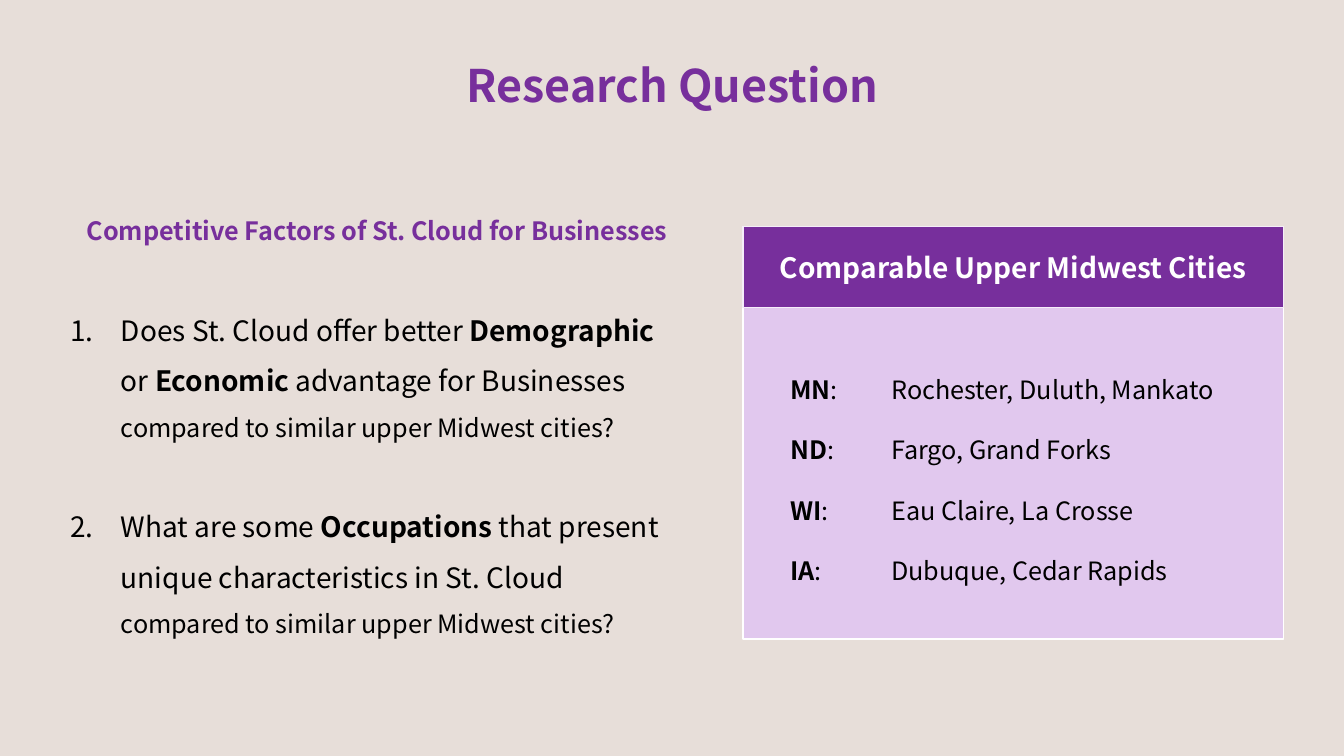
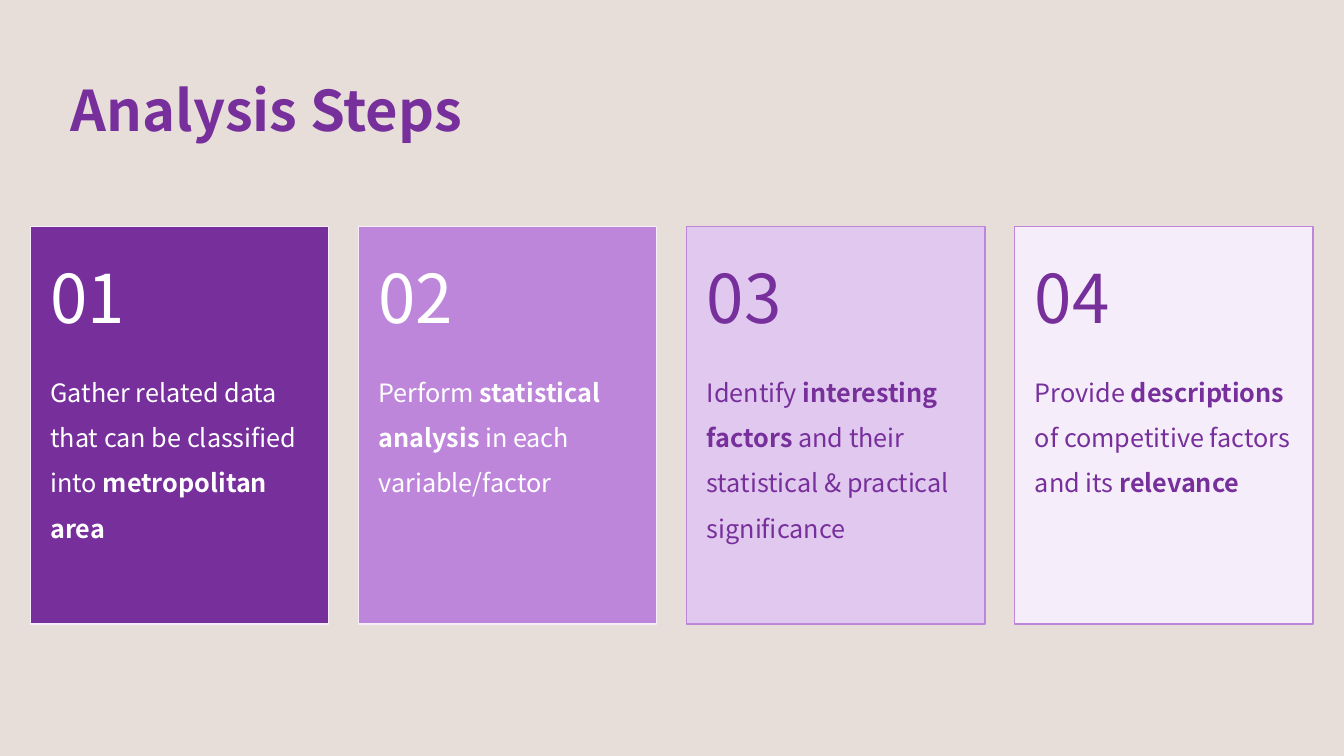
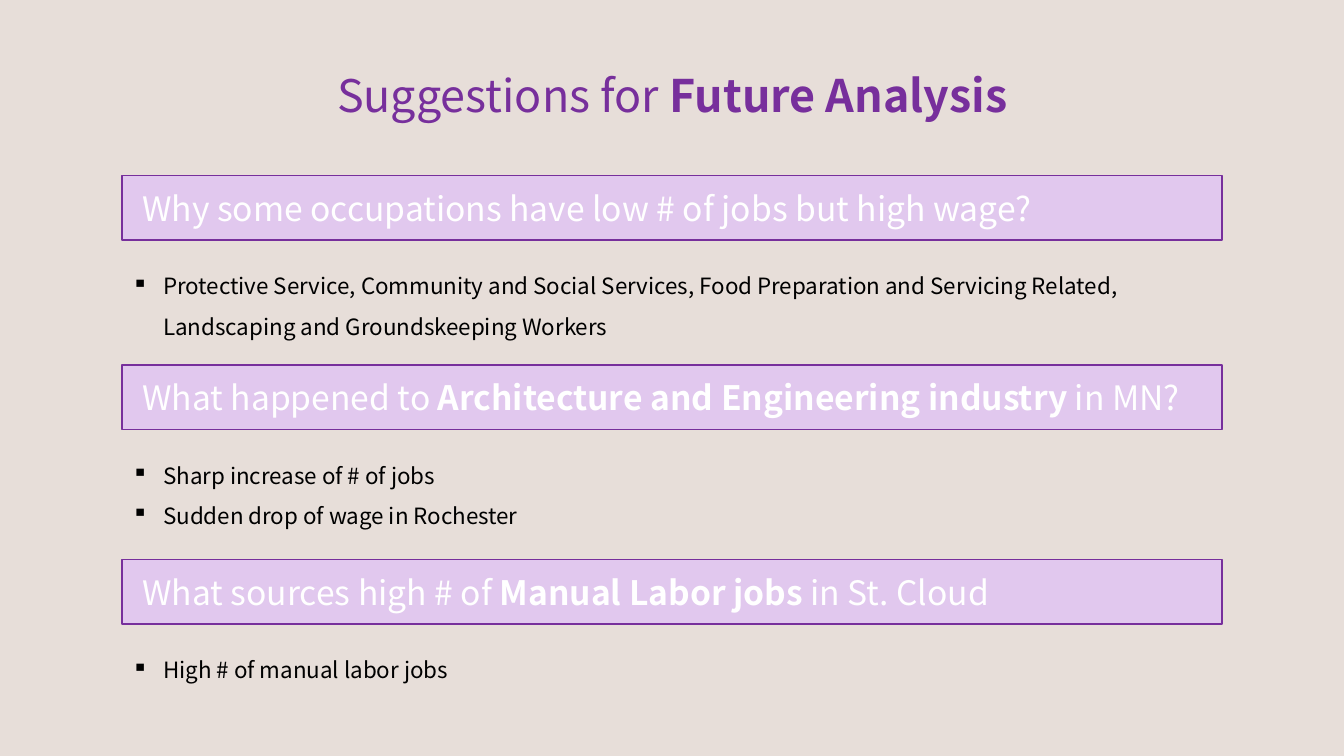
import pptx
import pptx.util
import pptx.dml.color
import pptx.enum.shapes
import pptx.enum.text
import pptx.oxml.ns
from lxml import etree

Inches, Pt = pptx.util.Inches, pptx.util.Pt
RGBColor = pptx.dml.color.RGBColor
ALIGN = pptx.enum.text.PP_ALIGN
ANCHOR = pptx.enum.text.MSO_ANCHOR

FONT = "Noto Sans CJK KR"
BEIGE = RGBColor(0xE7, 0xDE, 0xD9)
PURPLE = RGBColor(0x77, 0x2F, 0x9C)
ORCHID = RGBColor(0xBE, 0x86, 0xDA)
LILAC = RGBColor(0xE1, 0xC8, 0xEE)
PALE = RGBColor(0xF5, 0xED, 0xF9)
WHITE = RGBColor(0xFF, 0xFF, 0xFF)
BLACK = RGBColor(0, 0, 0)

# Words between ** marks are bold.
FACTORS_HEADING = "**Competitive Factors of St. Cloud for Businesses**"
QUESTIONS = [
    "Does St. Cloud offer better **Demographic** or **Economic** advantage for Businesses",
    "What are some **Occupations** that present unique characteristics in St. Cloud",
]
QUESTION_ENDING = "compared to similar upper Midwest cities?"
CITIES_HEADING = "**Comparable Upper Midwest Cities**"
CITIES = [
    ("MN", "Rochester, Duluth, Mankato"),
    ("ND", "Fargo, Grand Forks"),
    ("WI", "Eau Claire, La Crosse"),
    ("IA", "Dubuque, Cedar Rapids"),
]
STEPS = [  # text, fill, outline, text colour
    ("Gather related data that can be classified into **metropolitan area**",
     PURPLE, PALE, WHITE),
    ("Perform **statistical analysis** in each variable/factor",
     ORCHID, PALE, WHITE),
    ("Identify **interesting factors** and their statistical & practical significance",
     LILAC, ORCHID, PURPLE),
    ("Provide **descriptions** of competitive factors and its **relevance**",
     PALE, ORCHID, PURPLE),
]
SUGGESTIONS = [  # top, question, points
    (1.74, "Why some occupations have low # of jobs but high wage?",
     ["Protective Service, Community and Social Services, Food Preparation and "
      "Servicing Related, Landscaping and Groundskeeping Workers"]),
    (3.62, "What happened to **Architecture and Engineering industry** in MN?",
     ["Sharp increase of # of jobs", "Sudden drop of wage in Rochester"]),
    (5.55, "What sources high # of **Manual Labor jobs** in St. Cloud",
     ["High # of manual labor jobs"]),
]


def add_paragraph(frame, text, size, color, align=ALIGN.LEFT, spacing=1.0, before=0):
    """Fill the frame's empty first paragraph, or append one."""
    paragraph = frame.paragraphs[0]
    if paragraph.runs:
        paragraph = frame.add_paragraph()
    paragraph.alignment = align
    paragraph.line_spacing = spacing
    paragraph.space_before = Pt(before)
    font = paragraph.font
    font.name, font.size, font.color.rgb = FONT, Pt(size), color
    font.bold = False
    for index, part in enumerate(text.split("**")):
        if part:
            run = paragraph.add_run()
            run.text = part
            if index % 2:
                run.font.bold = True
    return paragraph


def add_to_properties(paragraph, tag, **attributes):
    """Put a bullet or tab element just before the paragraph's default font."""
    properties = paragraph._p.get_or_add_pPr()
    element = etree.Element(pptx.oxml.ns.qn(tag), attributes)
    properties.find(pptx.oxml.ns.qn("a:defRPr")).addprevious(element)
    return element


def add_bullet(paragraph, indent, tag, **attributes):
    properties = paragraph._p.get_or_add_pPr()
    properties.set("marL", str(Inches(indent)))
    properties.set("indent", str(-Inches(indent)))
    add_to_properties(paragraph, tag, **attributes)


def add_slide(prs, title, box, size=32, align=ALIGN.CENTER, spacing=1.0):
    slide = prs.slides.add_slide(prs.slide_layouts[5])
    holder = slide.shapes.title
    holder.left, holder.top, holder.width, holder.height = map(Inches, box)
    frame = holder.text_frame
    frame.auto_size = pptx.enum.text.MSO_AUTO_SIZE.NONE
    frame.vertical_anchor = ANCHOR.MIDDLE
    add_paragraph(frame, title, size, PURPLE, align, spacing)
    return slide


def add_box(slide, box, fill, outline, anchor=ANCHOR.MIDDLE, inset=0.1, top_inset=0.05):
    """Draw a rectangle and return its text frame."""
    shape = slide.shapes.add_shape(
        pptx.enum.shapes.MSO_SHAPE.RECTANGLE, *map(Inches, box))
    shape.shadow.inherit = False
    shape.fill.solid()
    shape.fill.fore_color.rgb = fill
    shape.line.color.rgb = outline
    shape.line.width = Pt(1)
    frame = shape.text_frame
    frame.word_wrap = True
    frame.vertical_anchor = anchor
    frame.margin_left = frame.margin_right = Inches(inset)
    frame.margin_top = Inches(top_inset)
    return frame


def add_text_box(slide, box):
    frame = slide.shapes.add_textbox(*map(Inches, box)).text_frame
    frame.word_wrap = True
    return frame


def build_research_question(prs):
    slide = add_slide(prs, "**Research Question**", (3.68, 0.52, 5.98, 0.64))

    factors = add_text_box(slide, (0.6, 1.94, 6.28, 4.48))
    add_paragraph(factors, FACTORS_HEADING, 18, PURPLE, ALIGN.CENTER, 1.5)
    for text in QUESTIONS:
        question = add_paragraph(factors, text, 20, BLACK, spacing=1.5, before=36)
        add_bullet(question, 0.5, "a:buFont", typeface="+mj-lt")
        add_to_properties(question, "a:buAutoNum", type="arabicPeriod")
        question.add_line_break()
        ending = question.add_run()
        ending.text = QUESTION_ENDING
        ending.font.size = Pt(18)

    left, top, width = 7.37, 2.25, 5.36
    cities = add_box(slide, (left, top, width, 4.09), LILAC, WHITE,
                     ANCHOR.TOP, inset=0.47, top_inset=1.16)
    for state, names in CITIES:
        row = add_paragraph(cities, f"**{state}**: \t{names}", 18, BLACK, spacing=2.0)
        tabs = add_to_properties(row, "a:tabLst")
        etree.SubElement(tabs, pptx.oxml.ns.qn("a:tab"), pos=str(Inches(1)), algn="l")
    heading = add_box(slide, (left, top, width, 0.8), PURPLE, PALE)
    add_paragraph(heading, CITIES_HEADING, 20, WHITE, ALIGN.CENTER)


def build_analysis_steps(prs):
    slide = add_slide(prs, "**Analysis Steps**", (0.6, 0.4, 12.13, 1.45),
                      40, ALIGN.LEFT, 0.9)
    slide.shapes.title.text_frame.paragraphs[0].space_after = Pt(6)
    margin, gap, width = 0.3, 0.295, 2.96
    for index, (text, fill, outline, color) in enumerate(STEPS):
        left = margin + index * (width + gap)
        card = add_box(slide, (left, 2.25, width, 3.94), fill, outline,
                       ANCHOR.TOP, inset=0.2)
        add_paragraph(card, f"{index + 1:02}", 48, color, spacing=1.3)
        add_paragraph(card, text, 18, color, spacing=1.5, before=18)


def build_suggestions(prs):
    slide = add_slide(prs, "Suggestions for **Future Analysis**", (1.07, 0.58, 11.2, 0.72))
    left, width = 1.21, 10.91
    for top, question, points in SUGGESTIONS:
        banner = add_box(slide, (left, top, width, 0.64), LILAC, PURPLE, inset=0.2)
        add_paragraph(banner, question, 24, WHITE)
        answers = add_text_box(slide, (left, top + 0.78, width, 0.86))
        for text in points:
            point = add_paragraph(answers, text, 16, BLACK, spacing=1.5)
            add_bullet(point, 0.31, "a:buChar", char="▪")


def main():
    prs = pptx.Presentation()
    prs.slide_width, prs.slide_height = Inches(13.33), Inches(7.5)
    background = prs.slide_master.background.fill
    background.solid()
    background.fore_color.rgb = BEIGE
    build_research_question(prs)
    build_analysis_steps(prs)
    build_suggestions(prs)
    prs.save("out.pptx")


if __name__ == "__main__":
    main()
